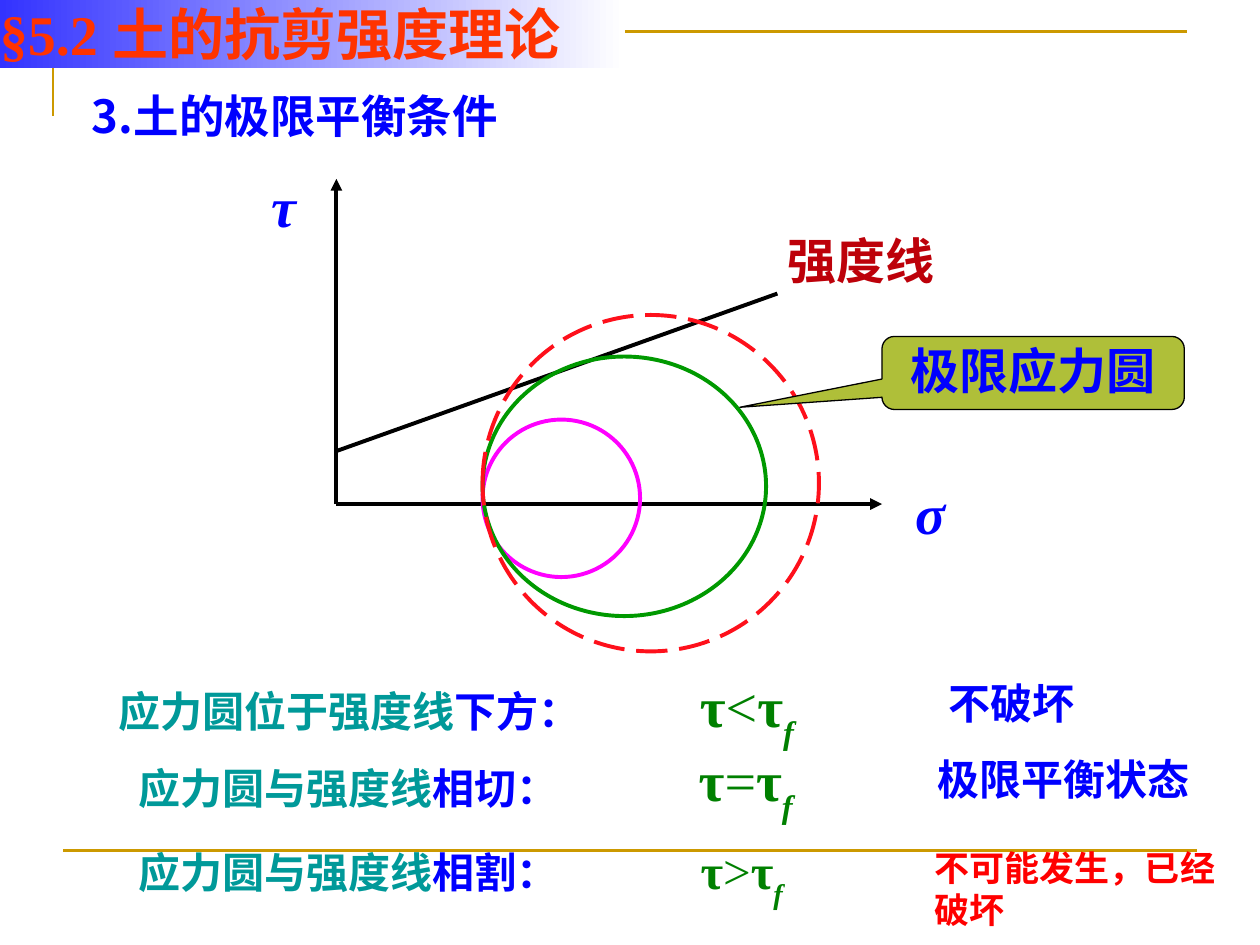
from lxml import etree
from pptx import Presentation
from pptx.dml.color import RGBColor
from pptx.enum.dml import MSO_LINE
from pptx.enum.shapes import MSO_CONNECTOR, MSO_SHAPE as SHAPE
from pptx.enum.text import MSO_ANCHOR, PP_ALIGN as ALIGN
from pptx.oxml.ns import qn
from pptx.util import Emu, Pt

PX = 9144  # 100 px to the inch
LATIN, CJK = "Times New Roman", "Noto Sans CJK SC"

BLACK = RGBColor(0x00, 0x00, 0x00)
WHITE = RGBColor(0xFF, 0xFF, 0xFF)
GOLD = RGBColor(0xCC, 0x99, 0x00)
BLUE = RGBColor(0x00, 0x00, 0xFF)
BAND_BLUE = RGBColor(0x33, 0x33, 0xFF)
TEAL = RGBColor(0x00, 0x99, 0x99)
DARK_RED = RGBColor(0xBD, 0x01, 0x0A)
RED = RGBColor(0xFF, 0x00, 0x00)
DASH_RED = RGBColor(0xFE, 0x10, 0x1B)
ORANGE = RGBColor(0xFF, 0x33, 0x00)
MAGENTA = RGBColor(0xFF, 0x00, 0xFF)
GREEN = RGBColor(0x00, 0x99, 0x00)
FORMULA_GREEN = RGBColor(0x00, 0x80, 0x00)
OLIVE = RGBColor(0xAF, 0xBF, 0x39)


def px(*values):
    return [Emu(v * PX) for v in values]


class Painter:
    def __init__(self, slide):
        self.shapes = slide.shapes

    def run(self, p, text, size, color, bold=True, italic=False, sub=False, font=LATIN):
        r = p.add_run()
        r.text = text
        f = r.font
        f.name, f.size, f.bold, f.italic = font, Pt(size), bold, italic
        f.color.rgb = color
        rPr = r._r.get_or_add_rPr()
        etree.SubElement(rPr, qn("a:ea")).set("typeface", CJK)
        if sub:
            rPr.set("baseline", "-30000")

    def label(self, s, runs, align=ALIGN.LEFT, inset=True):
        tf = s.text_frame
        tf.word_wrap = True
        tf.vertical_anchor = MSO_ANCHOR.TOP
        if not inset:
            tf.margin_left = tf.margin_right = tf.margin_top = tf.margin_bottom = 0
        p = tf.paragraphs[0]
        p.alignment = align
        for text, size, color, *style in runs:
            self.run(p, text, size, color, **(style[0] if style else {}))

    def text(self, box, runs, align=ALIGN.LEFT, inset=True):
        self.label(self.shapes.add_textbox(*px(*box)), runs, align, inset)

    def shape(self, kind, box, line=None, width=2.25, fill=None):
        s = self.shapes.add_shape(kind, *px(*box))
        s.shadow.inherit = False
        if fill is None:
            s.fill.background()
        else:
            s.fill.solid()
            s.fill.fore_color.rgb = fill
        if line is None:
            s.line.fill.background()
        else:
            s.line.color.rgb = line
            s.line.width = Pt(width)
        return s

    def line(self, start, end, color=BLACK, width=2.25, arrow=False):
        s = self.shapes.add_connector(MSO_CONNECTOR.STRAIGHT, *px(*start, *end))
        s.line.color.rgb = color
        s.line.width = Pt(width)
        spPr = s._element.spPr
        if arrow:
            etree.SubElement(spPr.find(qn("a:ln")), qn("a:tailEnd")).set("type", "triangle")
        etree.SubElement(spPr, qn("a:effectLst"))

    def polyline(self, points, color, width):
        fb = self.shapes.build_freeform(*points[0], scale=PX)
        fb.add_line_segments(points[1:], close=False)
        s = fb.convert_to_shape()
        s.shadow.inherit = False
        s.fill.background()
        s.line.color.rgb = color
        s.line.width = Pt(width)

    def gradient_band(self, box, colors):
        s = self.shape(SHAPE.RECTANGLE, box)
        s.fill.gradient()
        s.fill.gradient_angle = 0
        for i, (stop, color) in enumerate(zip(s.fill.gradient_stops, colors)):
            stop.position = i
            stop.color.rgb = color
        return s


def formula(sign, size, tail):
    """τ compared with the shear strength τf."""
    c = FORMULA_GREEN
    return [("τ", size, c), (sign, size, c, {"bold": False}), ("τ", size, c),
            ("f" + tail, size, c, {"italic": True, "sub": True})]


def build(slide):
    d = Painter(slide)

    # Frame lines
    d.polyline([(42, 92), (42, 25), (942, 25)], GOLD, 1.5)
    d.line((50, 675), (950, 675), GOLD, 1.5)

    # Subtitle
    d.text((73, 70, 367, 48), [("3.土的极限平衡条件", 26, BLUE, {"font": CJK})], inset=False)

    # Axes and strength line
    origin = (267, 400)
    d.line(origin, (700, 400), arrow=True)
    d.line(origin, (267, 142), arrow=True)
    d.line((267, 358), (617, 233))
    for symbol, box in (("σ", (717, 375, 58, 63)), ("τ", (206, 131, 42, 63))):
        d.text(box, [(symbol, 32, BLUE, {"italic": True})])
    d.text((625, 183, 133, 47), [("强度线", 28, DARK_RED)], inset=False)

    # Stress circles, all touching at the left
    for top, width, height, color in ((333, 125, 125, MAGENTA), (283, 225, 206, GREEN),
                                      (250, 267, 267, DASH_RED)):
        circle = d.shape(SHAPE.OVAL, (383, top, width, height), color)
    circle.line.dash_style = MSO_LINE.LONG_DASH

    # Callout for the limit circle
    s = d.shape(SHAPE.ROUNDED_RECTANGULAR_CALLOUT, (700, 267, 240, 58), BLACK, 0.75, OLIVE)
    for i, value in enumerate((-0.97, 0.47, 0.17)):
        s.adjustments[i] = value
    d.label(s, [("极限应力圆", 28, BLUE)], ALIGN.CENTER, inset=False)

    # Cases: circle position, formula, outcome
    gap = (" ", 24, BLACK, {"bold": False})
    cases = [
        ((84, 539, 460, 57), "应力圆位于强度线", "下方：",
         (517, 533, 158, 53), formula("<", 32, " "),
         (665, 533, 275, 50), ("不破坏", 24, BLUE), ALIGN.CENTER),
        ((100, 600, 433, 50), "应力圆与强度线", "相切：",
         (517, 592, 158, 53), formula("=", 32, "") + [gap],
         (714, 593, 267, 50), ("极限平衡状态 ", 24, BLUE), ALIGN.CENTER),
        ((100, 667, 450, 50), "应力圆与强度线", "相割：",
         (508, 667, 167, 47), formula(">", 28, " "),
         (732, 667, 267, 77), ("不可能发生，已经破坏", 20, RED), ALIGN.LEFT),
    ]
    for box, circle, relation, formula_box, runs, outcome_box, outcome, align in cases:
        d.text(box, [(circle, 24, TEAL), (relation, 24, BLUE)])
        d.text(formula_box, runs, ALIGN.CENTER, inset=False)
        d.text(outcome_box, [outcome], align)

    # Section heading
    band = d.gradient_band((0, 0, 496, 54), (BAND_BLUE, WHITE))
    d.label(band, [("§5.2 土的抗剪强度理论", 32, ORANGE)], inset=False)


def main():
    prs = Presentation()
    prs.slide_width, prs.slide_height = px(1000, 750)
    build(prs.slides.add_slide(prs.slide_layouts[6]))
    prs.save("out.pptx")


if __name__ == "__main__":
    main()
